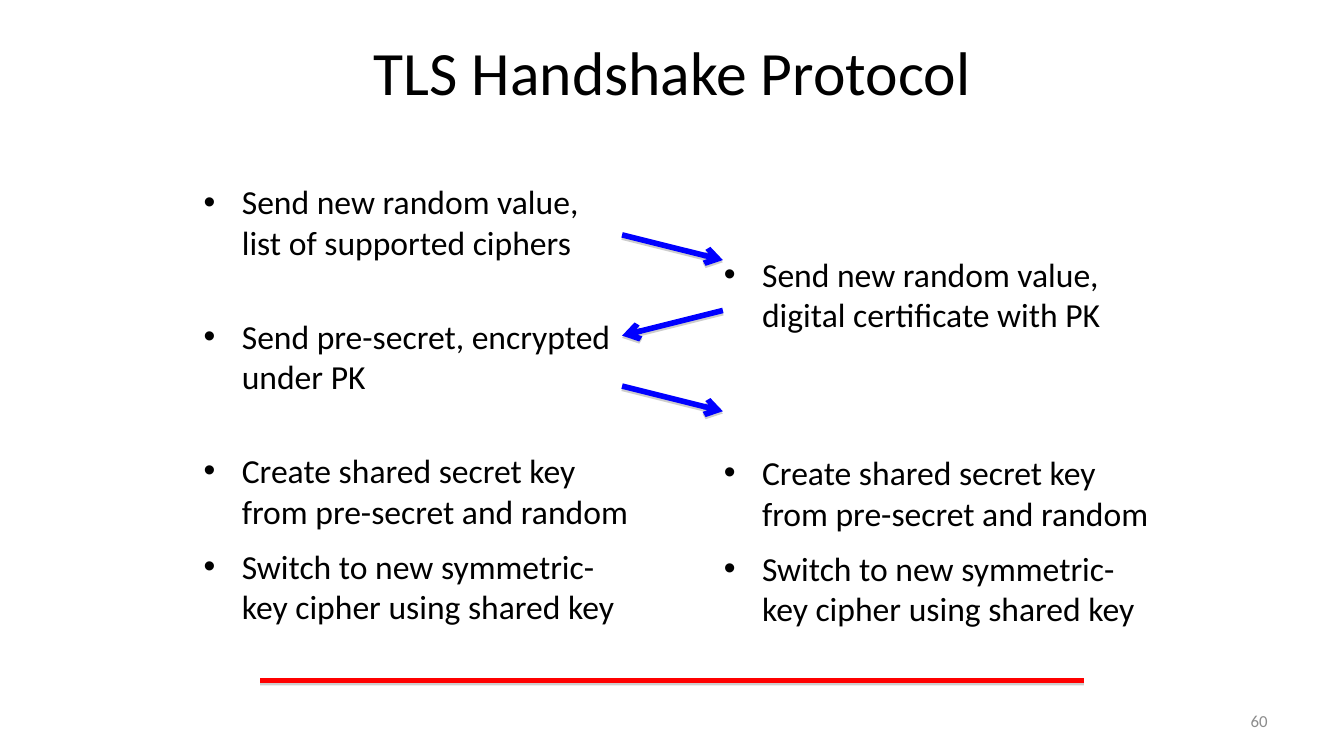
from lxml import etree
from pptx import Presentation
from pptx.dml.color import RGBColor
from pptx.enum.shapes import MSO_CONNECTOR
from pptx.enum.text import MSO_ANCHOR, PP_ALIGN
from pptx.oxml.ns import qn
from pptx.util import Inches, Pt

STRAIGHT = MSO_CONNECTOR.STRAIGHT
TOP, MIDDLE = MSO_ANCHOR.TOP, MSO_ANCHOR.MIDDLE
CENTER, RIGHT = PP_ALIGN.CENTER, PP_ALIGN.RIGHT

FONT = "Calibri"
BLACK, GRAY, BLUE, RED = "000000", "8C8C8C", "0000FF", "FF0000"
BODY_SIZE = 24
LINE_PITCH = 28.8

SHARED_KEY = "Create shared secret key from pre-secret and random"
SWITCH_CIPHER = "Switch to new symmetric-key cipher using shared key"

# Each step: space before in points, text
CLIENT_STEPS = [
    (0, "Send new random value,\nlist of supported ciphers"),
    (38.4, "Send pre-secret, encrypted under PK"),
    (38.4, SHARED_KEY),
    (10.8, SWITCH_CIPHER),
]
SERVER_STEPS = [
    (0, "Send new random value, digital certificate with PK"),
    (84, SHARED_KEY),
    (10.8, SWITCH_CIPHER),
]


def color(value):
    return RGBColor.from_string(value)


def add_box(s, left, top, width, height, anchor):
    box = s.shapes.add_textbox(Inches(left), Inches(top), Inches(width), Inches(height))
    tf = box.text_frame
    tf.word_wrap = True
    tf.vertical_anchor = anchor
    return tf


def add_run(p, text, size, fill):
    r = p.add_run()
    r.text = text
    r.font.name = FONT
    r.font.size = Pt(size)
    r.font.color.rgb = color(fill)


def add_label(s, text, left, top, width, height, size, fill, align):
    p = add_box(s, left, top, width, height, MIDDLE).paragraphs[0]
    p.alignment = align
    add_run(p, text, size, fill)


def set_bullet(p):
    pPr = p._p.get_or_add_pPr()
    pPr.set("marL", str(Inches(0.38)))
    pPr.set("indent", str(-Inches(0.38)))
    etree.SubElement(pPr, qn("a:buFont"), typeface="Arial")
    etree.SubElement(pPr, qn("a:buChar"), char="•")


def add_steps(s, steps, left, top, height):
    tf = add_box(s, left, top, 4.42, height, TOP)
    for i, (gap, text) in enumerate(steps):
        p = tf.paragraphs[0] if i == 0 else tf.add_paragraph()
        set_bullet(p)
        p.line_spacing = Pt(LINE_PITCH)
        p.space_before = Pt(gap)
        for j, line in enumerate(text.split("\n")):
            if j:
                p.add_line_break()
            add_run(p, line, BODY_SIZE, BLACK)


def add_shadow(spPr):
    effects = etree.SubElement(spPr, qn("a:effectLst"))
    shadow = etree.SubElement(effects, qn("a:outerShdw"), blurRad="0",
                              dist=str(Pt(1.6)), dir="5400000", rotWithShape="0")
    tone = etree.SubElement(shadow, qn("a:srgbClr"), val="808080")
    etree.SubElement(tone, qn("a:alpha"), val="38000")


def add_line(s, x1, y1, x2, y2, fill, arrow=False):
    line = s.shapes.add_connector(STRAIGHT, Inches(x1), Inches(y1), Inches(x2), Inches(y2))
    line.line.color.rgb = color(fill)
    line.line.width = Pt(4)
    if arrow:
        etree.SubElement(line.line._get_or_add_ln(), qn("a:tailEnd"), type="arrow")
    add_shadow(line._element.spPr)


def main():
    prs = Presentation()
    prs.slide_width, prs.slide_height = Inches(13.33), Inches(7.5)
    s = prs.slides.add_slide(prs.slide_layouts[6])

    add_label(s, "TLS Handshake Protocol", 2.17, 0.08, 9, 1.25, 44, BLACK, CENTER)
    add_steps(s, CLIENT_STEPS, 1.92, 1.75, 4.95)
    add_steps(s, SERVER_STEPS, 7.08, 2.47, 4.23)
    add_label(s, "60", 9.56, 6.95, 3.11, 0.4, 12, GRAY, RIGHT)

    client_x, server_x = 6.17, 7.17
    for i in range(3):
        x1, x2 = (server_x, client_x) if i % 2 else (client_x, server_x)
        y = 2.33 + 0.75 * i
        add_line(s, x1, y, x2, y + 0.25, BLUE, arrow=True)
    add_line(s, 2.58, 6.75, 10.75, 6.75, RED)

    prs.save("out.pptx")


if __name__ == "__main__":
    main()
